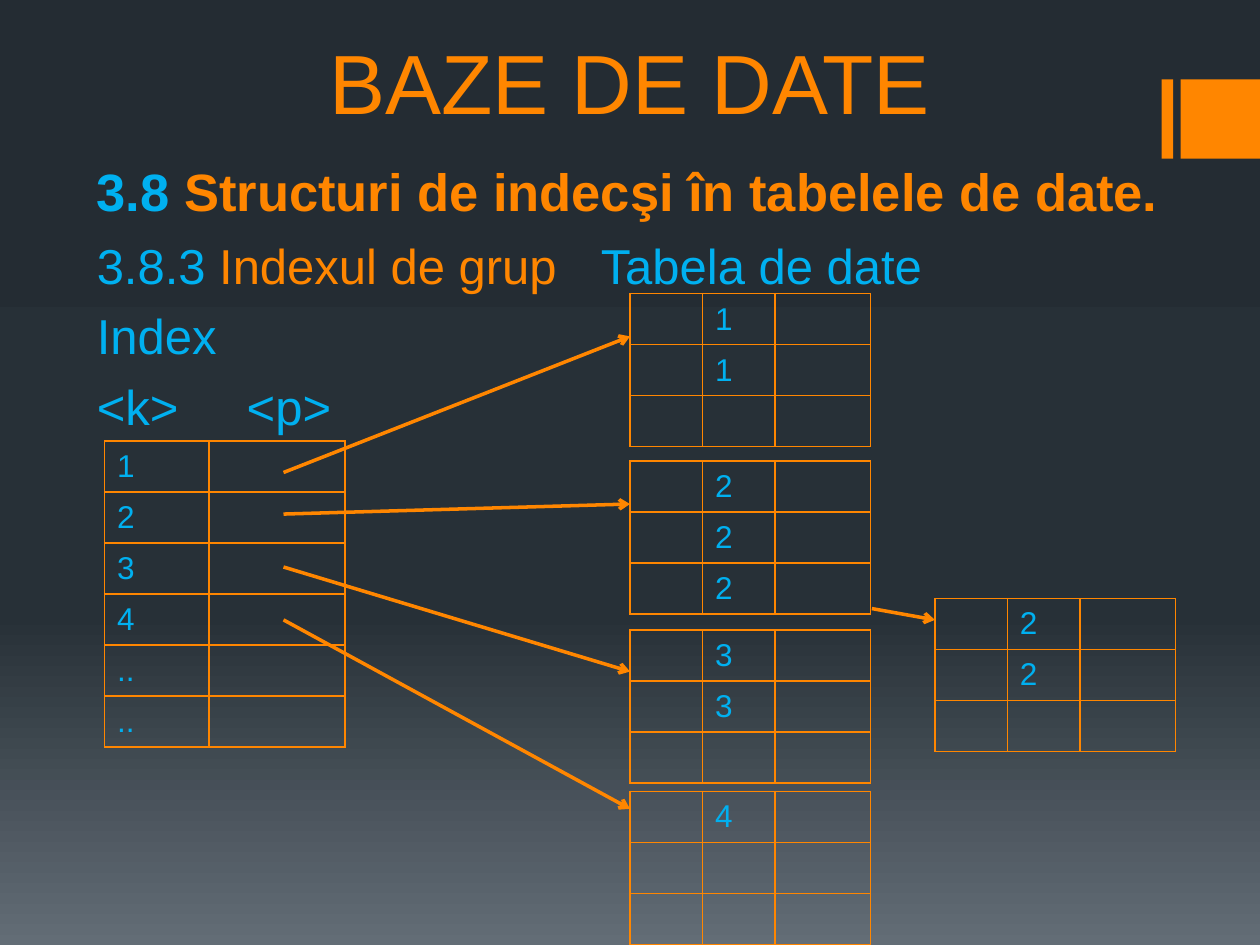
"""Build the slide on group indexes: an index table pointing to data blocks."""
from copy import deepcopy
from lxml import etree
from pptx import Presentation
from pptx.util import Inches, Pt
from pptx.dml.color import RGBColor
from pptx.enum import shapes, text
from pptx.oxml import ns

HUES = {"orange": "FF8600", "blue": "00B0F0",
        "top": "242C33", "mid": "273037", "low": "636D76"}
RGB = {name: RGBColor.from_string(hue) for name, hue in HUES.items()}


def write(par, words, size=18, hue="blue", bold=False, align=None, before=0):
    run = par.add_run()
    run.text = words
    run.font.name = "Arial"
    run.font.size = Pt(size)
    run.font.bold = bold
    run.font.color.rgb = RGB[hue]
    par.space_before = Pt(before)
    if align is not None:
        par.alignment = align


def grid(left, top, cols, rows):
    frame = slide.shapes.add_table(len(rows), len(cols), Inches(left), Inches(top),
                                   Inches(sum(cols)), Inches(0.405 * len(rows)))
    table = frame.table
    table.first_row = table.horz_banding = False
    for col, width in zip(table.columns, cols):
        col.width = Inches(width)
    for r, row in enumerate(rows):
        table.rows[r].height = Inches(0.405)
        for c, words in enumerate(row):
            cell = table.cell(r, c)
            cell.vertical_anchor = text.MSO_ANCHOR.MIDDLE
            if words:
                write(cell.text_frame.paragraphs[0], words)
            props = cell._tc.get_or_add_tcPr()
            for side in ("lnL", "lnR", "lnT", "lnB"):
                edge = etree.SubElement(props, ns.qn("a:" + side), w=str(Pt(1)))
                fill = etree.SubElement(edge, ns.qn("a:solidFill"))
                etree.SubElement(fill, ns.qn("a:srgbClr"), val=HUES["orange"])
            cell.fill.background()


deck = Presentation()
deck.slide_width, deck.slide_height = Inches(10), Inches(7.5)
slide = deck.slides.add_slide(deck.slide_layouts[6])

back = slide.background.fill
back.gradient()
back.gradient_angle = 270
stops = slide.element.find(".//" + ns.qn("a:gsLst"))
stops.append(deepcopy(stops[-1]))
for stop, hue, place in zip(back.gradient_stops, ("top", "mid", "low"), (0, 0.65, 1)):
    stop.color.rgb = RGB[hue]
    stop.position = place

for left, width in ((9.22, 0.09), (9.37, 0.63)):
    bar = slide.shapes.add_shape(shapes.MSO_SHAPE.RECTANGLE, Inches(left), Inches(0.63),
                                 Inches(width), Inches(0.63))
    bar.shadow.inherit = False
    bar.fill.solid()
    bar.fill.fore_color.rgb = RGB["orange"]
    bar.line.fill.background()

title = slide.shapes.add_textbox(Inches(0.75), 0, Inches(8.5), Inches(1.09)).text_frame
title.word_wrap = True
title.vertical_anchor = text.MSO_ANCHOR.BOTTOM
write(title.paragraphs[0], "BAZE DE DATE", size=48, hue="orange",
      align=text.PP_ALIGN.CENTER)

body = slide.shapes.add_textbox(Inches(0.67), Inches(1.17), Inches(8.67), Inches(5.67)).text_frame
body.word_wrap = True
body.margin_top = Inches(0.09)
head = body.paragraphs[0]
write(head, "3.8 ", size=30, bold=True)
write(head, "Structuri de indecşi în tabelele de date.", size=30, hue="orange", bold=True)
LINES = [
    (4, 8, [("3.8.3 ", "blue"), ("Indexul de grup\t", "orange"), ("Tabela de date", "blue")]),
    (4, 6.5, [("Index", "blue")]),
    (1.19, 6.5, [("<k>\t<p>", "blue")]),
]
for tab, gap, parts in LINES:
    par = body.add_paragraph()
    for words, hue in parts:
        write(par, words, size=28, hue=hue, align=text.PP_ALIGN.JUSTIFY, before=gap)
    tabs = etree.SubElement(par._p.get_or_add_pPr(), ns.qn("a:tabLst"))
    etree.SubElement(tabs, ns.qn("a:tab"), pos=str(Inches(tab)), algn="l")

grid(0.83, 3.5, (0.83, 1.08), [(key, "") for key in ("1", "2", "3", "4", "..", "..")])
BLOCKS = [
    (5, 2.33, ("1", "1", "")),
    (5, 3.66, ("2", "2", "2")),
    (7.42, 4.75, ("2", "2", "")),
    (5, 5, ("3", "3", "")),
    (5, 6.28, ("4", "", "")),
]
for left, top, keys in BLOCKS:
    grid(left, top, (0.575, 0.575, 0.76), [("", key, "") for key in keys])

ARROWS = [
    (2.25, 3.75, 5, 2.67),
    (2.25, 4.08, 5, 4),
    (6.92, 4.83, 7.42, 4.92),
    (2.25, 4.5, 5, 5.33),
    (2.25, 4.92, 5, 6.42),
]
for ends in ARROWS:
    arrow = slide.shapes.add_connector(shapes.MSO_CONNECTOR.STRAIGHT, *map(Inches, ends))
    arrow.line.color.rgb = RGB["orange"]
    arrow.line.width = Pt(2)
    etree.SubElement(arrow.line._get_or_add_ln(), ns.qn("a:tailEnd"), type="arrow")
    etree.SubElement(arrow._element.spPr, ns.qn("a:effectLst"))

deck.save("out.pptx")
